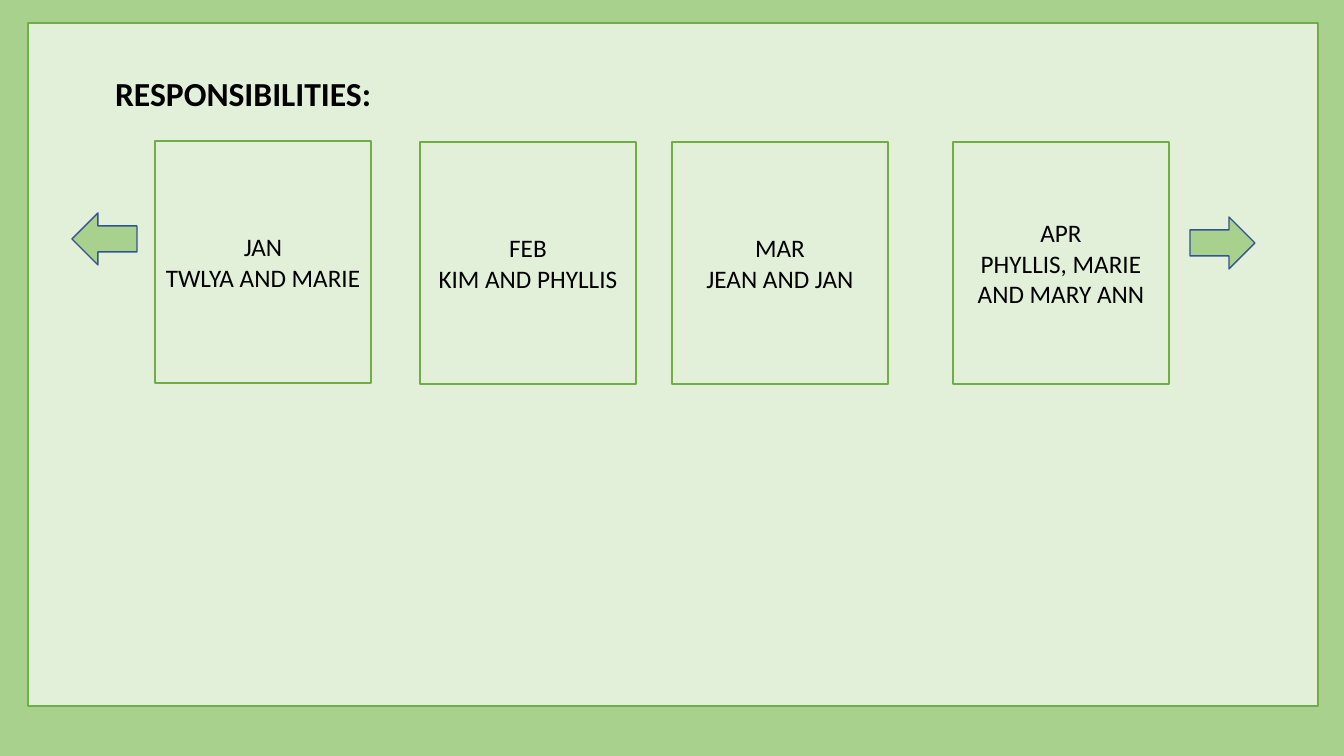
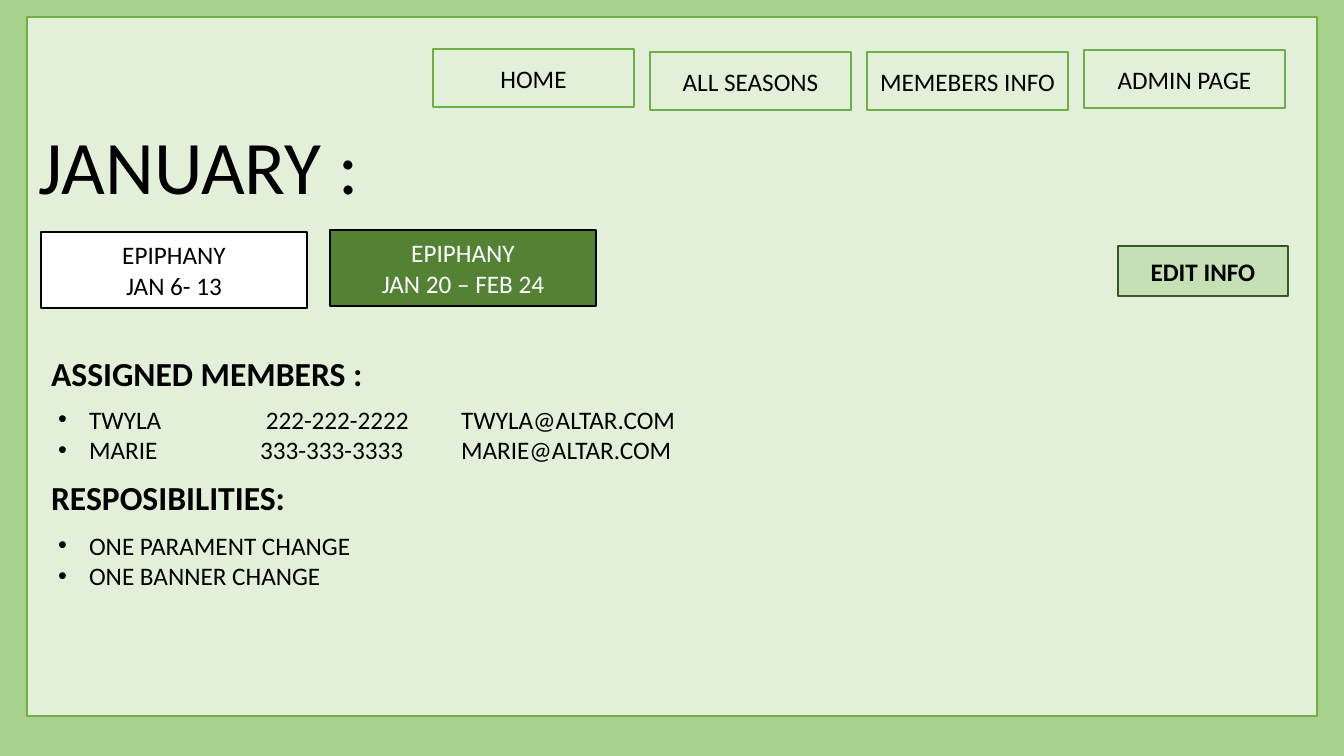
from lxml import etree
from pptx import Presentation
from pptx import util as u
from pptx.dml.color import RGBColor
from pptx.enum import shapes, text
from pptx.oxml.ns import qn

PX = 12192000 / 1344
FONT = "Calibri"
BLACK, WHITE = "000000", "FFFFFF"
BACKDROP, PANEL, GREEN = "A9D18E", "E2F0D9", "70AD47"
DARK_GREEN, BUTTON, BUTTON_LINE, ARROW_LINE = "548235", "C5E0B4", "385723", "325491"
LEFT, CENTER = text.PP_ALIGN.LEFT, text.PP_ALIGN.CENTER
TOP, MIDDLE = text.MSO_ANCHOR.TOP, text.MSO_ANCHOR.MIDDLE
INDENT = 31


def px(length):
    return u.Emu(round(length * PX))


def rgb(color):
    return RGBColor.from_string(color)


def add_bullet(paragraph, tabs):
    properties = paragraph._p.get_or_add_pPr()
    properties.set("marL", str(px(INDENT)))
    properties.set("indent", str(px(-INDENT)))
    etree.SubElement(properties, qn("a:buFont"), typeface="Arial")
    etree.SubElement(properties, qn("a:buChar"), char="•")
    if tabs:
        tab_list = etree.SubElement(properties, qn("a:tabLst"))
        for tab in tabs:
            etree.SubElement(tab_list, qn("a:tab"), pos=str(px(tab)), algn="l")


def write(shape, lines, size=18, color=BLACK, bold=False, align=CENTER,
          anchor=MIDDLE, bullets=False, tabs=()):
    frame = shape.text_frame
    frame.auto_size = text.MSO_AUTO_SIZE.NONE
    frame.word_wrap = True
    frame.vertical_anchor = anchor
    for index, line in enumerate(lines):
        paragraph = frame.add_paragraph() if index else frame.paragraphs[0]
        paragraph.alignment = align
        paragraph.space_before = u.Pt(0)
        if bullets:
            add_bullet(paragraph, tabs)
        run = paragraph.add_run()
        run.text = line
        run.font.name = FONT
        run.font.size = u.Pt(size)
        run.font.bold = bold
        run.font.color.rgb = rgb(color)


class Deck:
    """Holds the shared style and the slide being filled."""

    def __init__(self):
        self.presentation = Presentation()
        self.presentation.slide_width = px(1344)
        self.presentation.slide_height = px(756)
        fill = self.presentation.slide_master.background.fill
        fill.solid()
        fill.fore_color.rgb = rgb(BACKDROP)

    def add_slide(self, layout_name, panel_box):
        layout = self.presentation.slide_layouts.get_by_name(layout_name)
        self.slide = self.presentation.slides.add_slide(layout)
        panel = self.shape(panel_box)
        # The panel goes behind the placeholders.
        self.slide.shapes[0].element.addprevious(panel.element)

    def shape(self, box, fill=PANEL, line=GREEN, kind=shapes.MSO_SHAPE.RECTANGLE):
        shape = self.slide.shapes.add_shape(kind, *map(px, box))
        shape.shadow.inherit = False
        shape.fill.solid()
        shape.fill.fore_color.rgb = rgb(fill)
        shape.line.color.rgb = rgb(line)
        shape.line.width = u.Pt(1)
        return shape

    def card(self, box, lines, fill=PANEL, line=GREEN, **style):
        write(self.shape(box, fill, line), lines, **style)

    def arrow(self, box, kind):
        self.shape(box, BACKDROP, ARROW_LINE, kind)

    def placeholder(self, index, box, lines, **style):
        shape = next(item for item in self.slide.placeholders
                     if item.placeholder_format.idx == index)
        shape.left, shape.top, shape.width, shape.height = map(px, box)
        write(shape, lines, **{"align": LEFT, "anchor": TOP, **style})

    def heading(self, index, box, title):
        self.placeholder(index, box, [title], size=24, bold=True)

    def bullets(self, index, box, items, tabs=()):
        self.placeholder(index, box, items, bullets=True, tabs=tabs)


def build_months(deck):
    deck.add_slide("Title Only", (28, 23, 1290, 683))
    deck.arrow((1190, 217, 65, 52), shapes.MSO_SHAPE.RIGHT_ARROW)
    deck.arrow((72, 213, 65, 52), shapes.MSO_SHAPE.LEFT_ARROW)
    months = [
        (155, 141, "JAN", "TWLYA AND MARIE"),
        (420, 142, "FEB", "KIM AND PHYLLIS"),
        (672, 142, "MAR", "JEAN AND JAN"),
        (953, 142, "APR", "PHYLLIS, MARIE AND MARY ANN"),
    ]
    for left, top, month, members in months:
        deck.card((left, top, 216, 242), [month, members])
    deck.heading(0, (105, 68, 527, 50), "RESPONSIBILITIES:")


def build_january(deck):
    deck.add_slide("Comparison", (27, 17, 1290, 699))
    deck.placeholder(0, (27, 114, 344, 102), ["JANUARY :"], size=54, align=CENTER)

    deck.card((41, 232, 266, 76), ["EPIPHANY", "JAN 6- 13"], WHITE, BLACK)
    deck.card((330, 230, 266, 76), ["EPIPHANY", "JAN 20 – FEB 24"],
              DARK_GREEN, BLACK, color=WHITE)

    deck.heading(1, (41, 348, 547, 50), "ASSIGNED MEMBERS :")
    deck.bullets(2, (48, 399, 954, 72), [
        "TWYLA\t 222-222-2222\tTWYLA@ALTAR.COM",
        "MARIE\t333-333-3333\tMARIE@ALTAR.COM",
    ], tabs=(202, 403))
    deck.heading(3, (41, 472, 547, 50), "RESPOSIBILITIES:")
    deck.bullets(4, (48, 525, 723, 72), ["ONE PARAMENT CHANGE", "ONE BANNER CHANGE"])

    buttons = [("HOME", 49), ("ALL SEASONS", 52), ("MEMEBERS INFO", 52), ("ADMIN PAGE", 50)]
    for column, (label, top) in enumerate(buttons):
        deck.card((433 + 217 * column, top, 201, 58), [label])
    deck.card((1118, 246, 170, 50), ["EDIT INFO"], BUTTON, BUTTON_LINE, bold=True)


def main():
    deck = Deck()
    build_months(deck)
    build_january(deck)
    deck.presentation.save("out.pptx")


if __name__ == "__main__":
    main()
